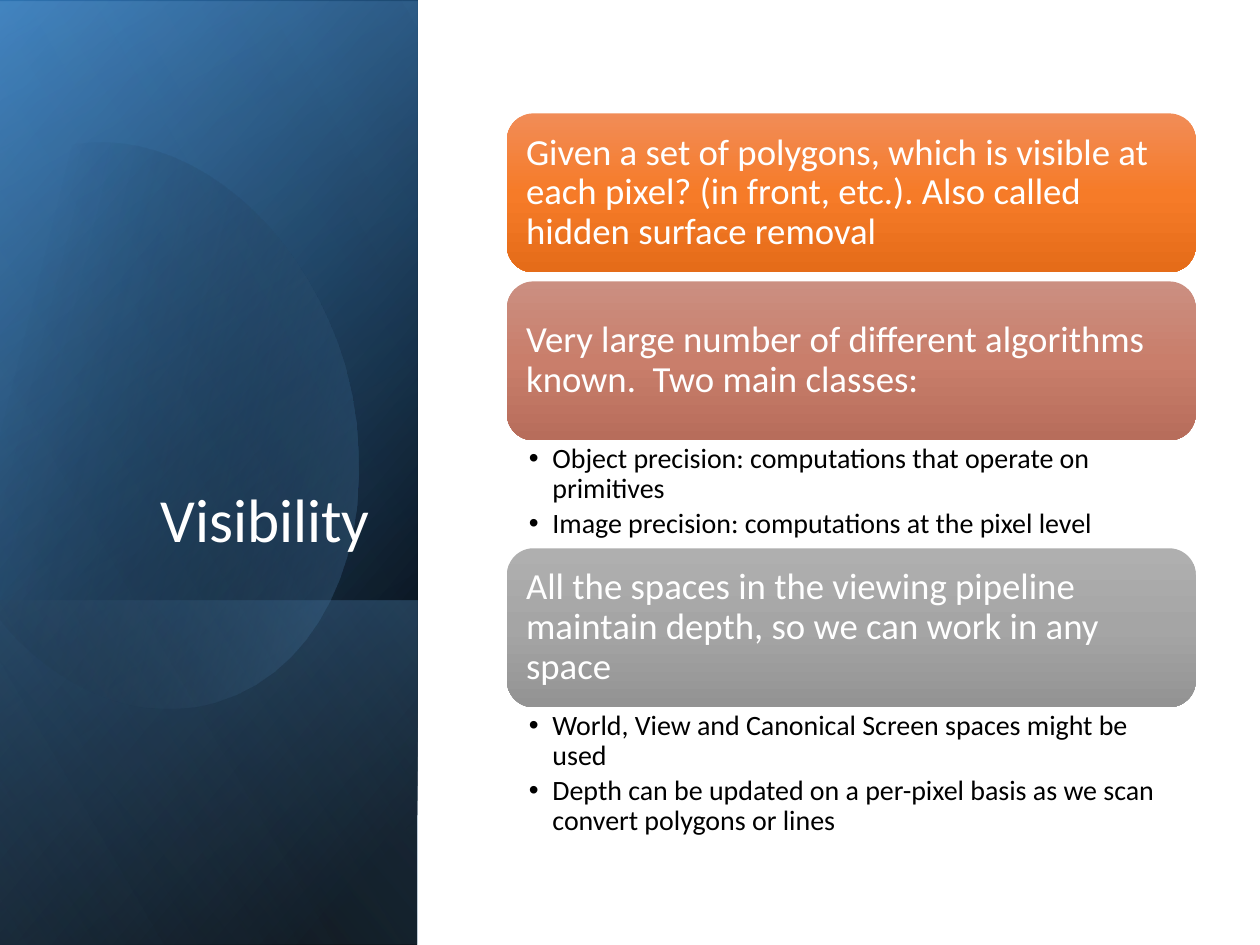
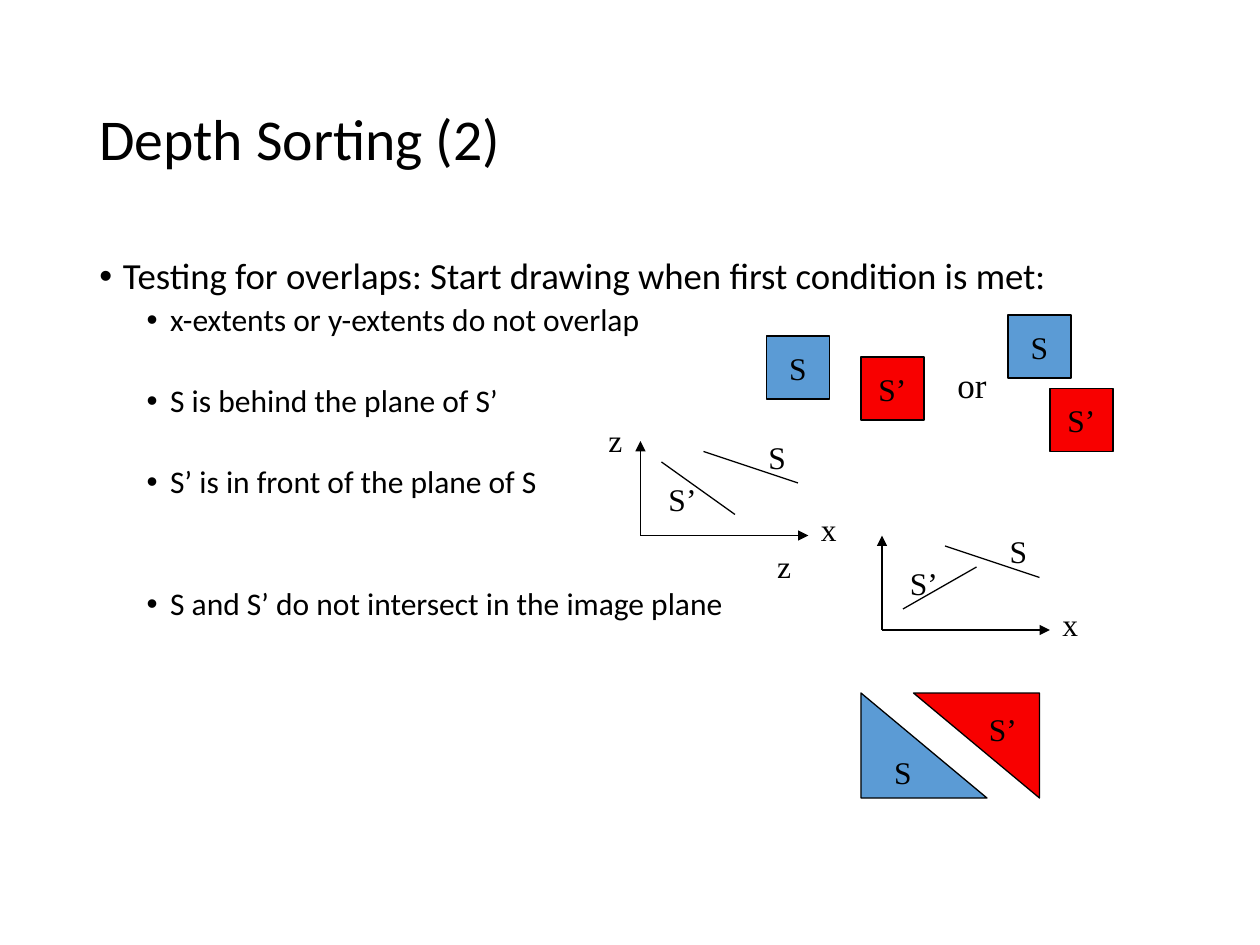
import math

import pptx
import pptx.dml.color
import pptx.enum.shapes
import pptx.enum.text
import pptx.oxml
import pptx.oxml.ns
import pptx.util

Pt = pptx.util.Pt
SHAPE = pptx.enum.shapes.MSO_SHAPE
ANCHOR = pptx.enum.text.MSO_ANCHOR
ALIGN = pptx.enum.text.PP_ALIGN

COLORS = {
    "black": "000000", "white": "FFFFFF", "blue": "5B9BD5", "red": "F80000",
    "deep_blue": "2E75B6", "pale_blue": "9DC3E6",
}
ORANGE = [(0, "F18C57"), (50, "F67B28"), (100, "E56C19")]
ROSE = [(0, "CB8F81"), (50, "C97E6B"), (100, "B76D5B")]
GREY = [(0, "AFAFAF"), (50, "A5A5A5"), (100, "939393")]

SANS, SERIF = "Calibri", "Times New Roman"
SLIDE_W, SLIDE_H = 720, 540
PANEL_W = 238.5
INSETS = (7.2, 3.6, 7.2, 3.6)
HANGING = 13.5


def rgb(name):
    return pptx.dml.color.RGBColor.from_string(COLORS[name])


# ---- Text ----
def set_frame(shape, anchor=ANCHOR.TOP, insets=INSETS, wrap=True):
    frame = shape.text_frame
    frame.word_wrap = wrap
    frame.vertical_anchor = anchor
    (frame.margin_left, frame.margin_top,
     frame.margin_right, frame.margin_bottom) = map(Pt, insets)
    return frame


def write(paragraph, text, size, color="black", font=SANS, align=ALIGN.LEFT):
    paragraph.alignment = align
    if font == SANS:
        paragraph.line_spacing = 0.9
    run = paragraph.add_run()
    run.text = text
    run.font.size = Pt(size)
    run.font.name = font
    run.font.color.rgb = rgb(color)


def add_bullet(frame, text, size, indent=HANGING, before=0, after=0):
    first = frame.paragraphs[0]
    paragraph = frame.add_paragraph() if first.runs else first
    write(paragraph, text, size)
    paragraph.space_before = Pt(before)
    paragraph.space_after = Pt(after)
    props = paragraph._p.get_or_add_pPr()
    props.set("marL", str(Pt(indent)))
    props.set("indent", str(-Pt(HANGING)))
    ns = pptx.oxml.ns.nsdecls("a")
    props.append(pptx.oxml.parse_xml(f'<a:buFont {ns} typeface="Arial"/>'))
    props.append(pptx.oxml.parse_xml(f'<a:buChar {ns} char="•"/>'))


def add_title(slide, box, text, size, color, anchor, align=ALIGN.LEFT):
    title = slide.shapes.add_textbox(*map(Pt, box))
    write(set_frame(title, anchor).paragraphs[0], text, size, color, align=align)


def add_label(slide, text, x, y, w=24, h=29, size=18, centred=False):
    """A short label; its side insets leave room for it on one line."""
    label = slide.shapes.add_textbox(Pt(x), Pt(y), Pt(w), Pt(h))
    frame = set_frame(label, ANCHOR.MIDDLE if centred else ANCHOR.TOP,
                      (0 if centred else 7.2, 3.6, 0, 3.6))
    write(frame.paragraphs[0], text, size, font=SERIF,
          align=ALIGN.CENTER if centred else ALIGN.LEFT)


# ---- Shapes ----
def fill_gradient(shape, stops, angle):
    """Each stop is (position %, hex colour[, opacity %])."""
    shape.shadow.inherit = False
    shape.line.fill.background()
    shape.fill.background()
    stop_xml = "".join(
        f'<a:gs pos="{pos * 1000}"><a:srgbClr val="{color}">'
        f'<a:alpha val="{(opacity or [100])[0] * 1000}"/></a:srgbClr></a:gs>'
        for pos, color, *opacity in stops)
    gradient = pptx.oxml.parse_xml(
        f'<a:gradFill {pptx.oxml.ns.nsdecls("a")} rotWithShape="1">'
        f'<a:gsLst>{stop_xml}</a:gsLst>'
        f'<a:lin ang="{angle * 60000}" scaled="0"/></a:gradFill>')
    props = shape._element.spPr
    props.replace(props.find(pptx.oxml.ns.qn("a:noFill")), gradient)


def add_panel_layer(slide, top, height, stops, angle):
    """A mirrored rectangle turned a quarter, covering the panel's width."""
    layer = slide.shapes.add_shape(
        SHAPE.RECTANGLE, Pt((PANEL_W - height) / 2), Pt(top + (height - PANEL_W) / 2),
        Pt(height), Pt(PANEL_W))
    layer.rotation = 90
    layer._element.spPr.xfrm.set("flipH", "1")
    fill_gradient(layer, stops, angle)


def curve(start, ctrl1, ctrl2, end, steps=16):
    points = []
    for step in range(1, steps + 1):
        t = step / steps
        u = 1 - t
        points.append(tuple(
            u**3 * a + 3 * u * u * t * b + 3 * u * t * t * c + t**3 * d
            for a, b, c, d in zip(start, ctrl1, ctrl2, end)))
    return points


def turn(point, centre, degrees):
    dx, dy = point[0] - centre[0], point[1] - centre[1]
    cos, sin = math.cos(math.radians(degrees)), math.sin(math.radians(degrees))
    return centre[0] + dx * cos - dy * sin, centre[1] + dx * sin + dy * cos


def add_panel_oval(slide):
    """The outline is drawn upright, then tilted together with its gradient."""
    tilt, centre = -16.1, (85.5, 240.8)
    outline = [(69, 82)]
    for ctrl1, ctrl2, end in [((123, 88), (176, 138), (197, 209)),
                              ((221, 297), (189, 382), (123, 401)),
                              ((82, 413), (38, 396), (5, 360))]:
        outline += curve(outline[-1], ctrl1, ctrl2, end)
    outline += [(-2, 351), (-18, 120), (-11, 111)]
    for ctrl1, ctrl2, end in [((1, 99), (16, 90), (32, 85)),
                              ((45, 81), (57, 81), (69, 82))]:
        outline += curve(outline[-1], ctrl1, ctrl2, end)
    outline = [tuple(map(Pt, turn(point, centre, -tilt))) for point in outline]
    builder = slide.shapes.build_freeform(*outline[0])
    builder.add_line_segments(outline[1:], close=True)
    oval = builder.convert_to_shape()
    oval.rotation = tilt
    fill_gradient(oval, [(29, COLORS["black"], 0), (100, COLORS["blue"], 43)], 30)


def add_polygon(slide, kind, x, y, w, h, color, text="", rotation=0):
    polygon = slide.shapes.add_shape(kind, Pt(x), Pt(y), Pt(w), Pt(h))
    polygon.shadow.inherit = False
    polygon.rotation = rotation
    polygon.fill.solid()
    polygon.fill.fore_color.rgb = rgb(color)
    polygon.line.color.rgb = rgb("black")
    polygon.line.width = Pt(0.75)
    if text:
        frame = set_frame(polygon, ANCHOR.MIDDLE, wrap=False)
        write(frame.paragraphs[0], text, 18, font=SERIF, align=ALIGN.CENTER)


def add_line(slide, start, end, arrow=False):
    line = slide.shapes.add_connector(
        pptx.enum.shapes.MSO_CONNECTOR.STRAIGHT, *map(Pt, (*start, *end)))
    line.line.color.rgb = rgb("black")
    line.line.width = Pt(0.75)
    ns = pptx.oxml.ns.nsdecls("a")
    if arrow:
        line.line._get_or_add_ln().append(
            pptx.oxml.parse_xml(f'<a:tailEnd {ns} type="triangle"/>'))
    line._element.spPr.append(pptx.oxml.parse_xml(f'<a:effectLst {ns}/>'))


def add_depth_plot(slide, origin, z_label, front_line, front_label):
    """Axes x and z with surfaces S and S’; offsets count from the origin."""
    def at(offset):
        return origin[0] + offset[0], origin[1] + offset[1]

    add_line(slide, origin, at((0, -54)), arrow=True)
    add_line(slide, origin, at((96, 0)), arrow=True)
    add_label(slide, "z", *at(z_label))
    add_label(slide, "x", *at((96, -18)))
    add_line(slide, *map(at, front_line))
    add_line(slide, at((36, -48)), at((90, -30)))
    add_label(slide, "S", *at((66, -60)), h=30, centred=True)
    add_label(slide, "S’", *at(front_label), h=30, centred=True)


def add_card_stack(slide, cards):
    left, width, card_h, gap = 289.7, 393.6, 90.8, 5.2
    top = 64.8
    for text, stops, details, details_h in cards:
        card = slide.shapes.add_shape(SHAPE.ROUNDED_RECTANGLE, Pt(left), Pt(top),
                                      Pt(width), Pt(card_h))
        fill_gradient(card, stops, 90)
        frame = set_frame(card, ANCHOR.MIDDLE, (6.5,) * 4)
        write(frame.paragraphs[0], text, 21, "white")
        top += card_h
        if details:
            notes = slide.shapes.add_textbox(Pt(left), Pt(top), Pt(width), Pt(details_h))
            frame = set_frame(notes, insets=(12.5, 2.2, 11.5, 2.2))
            for detail in details:
                add_bullet(frame, detail, 16, after=2.8)
        top += details_h or gap


# ---- Slides ----
def build_visibility(slide):
    black, blue = COLORS["black"], COLORS["blue"]
    add_panel_layer(slide, 0, SLIDE_H, [(8, black), (100, COLORS["deep_blue"])], 50)
    add_panel_layer(slide, 1, SLIDE_H, [(0, black, 0), (99, blue, 46)], 30)
    add_panel_layer(slide, 343, 197, [(2, blue, 29), (100, black, 30)], 130)
    add_panel_oval(slide)
    add_panel_layer(slide, 0, SLIDE_H,
                    [(0, black, 0), (99, COLORS["pale_blue"], 11)], 120)
    add_title(slide, (34.5, 132.5, 184, 188.6), "Visibility", 35, "white",
              ANCHOR.BOTTOM, ALIGN.RIGHT)
    add_card_stack(slide, [
        ("Given a set of polygons, which is visible at each pixel? (in front, etc.). "
         "Also called hidden surface removal", ORANGE, [], 0),
        ("Very large number of different algorithms known.  Two main classes:", ROSE,
         ["Object precision: computations that operate on primitives",
          "Image precision: computations at the pixel level"], 61.7),
        ("All the spaces in the viewing pipeline maintain depth, "
         "so we can work in any space", GREY,
         ["World, View and Canonical Screen spaces might be used",
          "Depth can be updated on a per-pixel basis as we scan convert "
          "polygons or lines"], 78.5),
    ])


def build_depth_sorting(slide):
    add_title(slide, (49.7, 28.8, 621, 104.4), "Depth Sorting (2)", 33, "black",
              ANCHOR.MIDDLE)
    # Conditions, spaced to sit beside their diagrams
    body = slide.shapes.add_textbox(Pt(49.7), Pt(144), Pt(621), Pt(342.7))
    frame = set_frame(body)
    add_bullet(frame, "Testing for overlaps: Start drawing when first condition is met:",
               21, before=7.5)
    for condition, before in [("x-extents or y-extents do not overlap", 3.75),
                              ("S is behind the plane of S’", 26.8),
                              ("S’ is in front of the plane of S", 26.8),
                              ("S and S’ do not intersect in the image plane", 50.5)]:
        add_bullet(frame, condition, 18, indent=3 * HANGING, before=before)
    # Separate extents
    for name, color, x, y in [("S", "blue", 438, 192), ("S’", "red", 492, 204),
                              ("S", "blue", 576, 180), ("S’", "red", 600, 222)]:
        add_polygon(slide, SHAPE.RECTANGLE, x, y, 36, 36, color, name)
    add_label(slide, "or", 540, 204, 31, 31, size=20)
    # Depth order
    add_depth_plot(slide, (366, 306), (-25.4, -69), ((12, -42), (54, -12)), (12, -36))
    add_depth_plot(slide, (504, 360), (-67, -51), ((12, -12), (54, -36)), (12, -42))
    # Separate triangles in the image plane
    add_polygon(slide, SHAPE.RIGHT_TRIANGLE, 492, 396, 72, 60, "blue", "S")
    add_polygon(slide, SHAPE.RIGHT_TRIANGLE, 522, 396, 72, 60, "red", rotation=180)
    add_label(slide, "S’", 558, 402, 30)


def main():
    deck = pptx.Presentation()
    deck.slide_width, deck.slide_height = Pt(SLIDE_W), Pt(SLIDE_H)
    for build in (build_visibility, build_depth_sorting):
        build(deck.slides.add_slide(deck.slide_layouts[6]))
    deck.save("out.pptx")


if __name__ == "__main__":
    main()
